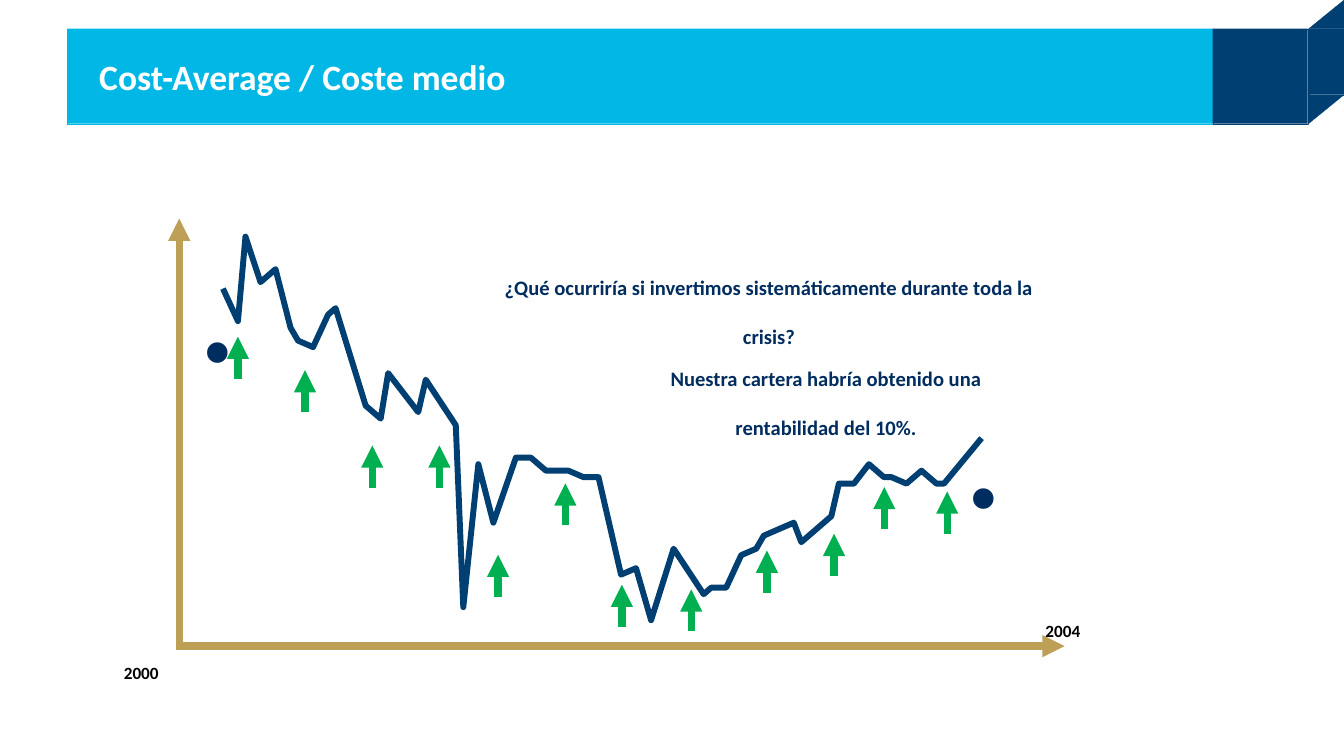
from lxml import etree
from pptx import Presentation
from pptx.dml.color import RGBColor
from pptx.enum.shapes import MSO_CONNECTOR, MSO_SHAPE
from pptx.enum.text import MSO_ANCHOR, MSO_AUTO_SIZE, PP_ALIGN
from pptx.oxml.ns import qn
from pptx.util import Pt

STRAIGHT = MSO_CONNECTOR.STRAIGHT
RECTANGLE, TRIANGLE = MSO_SHAPE.RECTANGLE, MSO_SHAPE.RIGHT_TRIANGLE
LEFT, CENTER = PP_ALIGN.LEFT, PP_ALIGN.CENTER
TOP, MIDDLE = MSO_ANCHOR.TOP, MSO_ANCHOR.MIDDLE
GROW, FIXED = MSO_AUTO_SIZE.SHAPE_TO_FIT_TEXT, MSO_AUTO_SIZE.NONE

WHITE = RGBColor(0xFF, 0xFF, 0xFF)
BLACK = RGBColor(0x00, 0x00, 0x00)
CYAN = RGBColor(0x00, 0xB7, 0xE5)
BLUE = RGBColor(0x00, 0x3F, 0x72)
NAVY = RGBColor(0x00, 0x2D, 0x5F)
GOLD = RGBColor(0xBE, 0x9F, 0x56)
GREEN = RGBColor(0x00, 0xB0, 0x50)

TITLE = "Cost-Average / Coste medio"
TITLE_BOX = (45.4, 19.4, 773.3, 64.1)
HEADER_PARTS = [
    (RECTANGLE, TITLE_BOX, 0, CYAN),
    (RECTANGLE, (818.6, 19.4, 64.1, 64.1), 0, BLUE),
    (TRIANGLE, (885.6, -2.2, 19.4, 23.8), 270, BLUE),
    (TRIANGLE, (885.6, 61.9, 19.4, 23.8), 90, BLUE),
    (RECTANGLE, (883.4, 19.4, 23.8, 44.6), 0, BLUE),
]
AXES = [((118.8, 436.3), (718.6, 436.3)), ((121, 436.3), (121, 147.6))]
YEARS = [("2000", (30.2, 430.6, 130.3, 23.8)), ("2004", (652.3, 401.8, 130.3, 23.8))]
MESSAGES = [
    ("¿Qué ocurriría si invertimos sistemáticamente durante toda la crisis?",
     (317.5, 166.3, 403.2, 46.1)),
    ("Nuestra cartera habría obtenido una rentabilidad del 10%.",
     (419, 227.5, 277.2, 46.1)),
]
END_DOTS = [(129.6, 128.9, 71.3, 118.8), (646.6, 227.5, 71.3, 118.8)]

PRICE_ORIGIN = (150.5, 159.8)
PRICE_STEP = (5.07, 4.39)
PRICES = [
    (0, 8), (2, 13), (3, 0), (5, 7), (7, 5), (9, 14), (10, 16), (12, 17),
    (14, 12), (15, 11), (19, 26), (21, 28), (22, 21), (26, 27), (27, 22),
    (31, 29), (32, 57), (34, 35), (36, 44), (39, 34), (41, 34), (43, 36),
    (46, 36), (48, 37), (50, 37), (53, 52), (55, 51), (57, 59), (60, 48),
    (64, 55), (65, 54), (67, 54), (69, 49), (71, 48), (72, 46), (74, 45),
    (76, 44), (77, 47), (80, 44), (81, 43), (82, 38), (84, 38), (86, 35),
    (88, 37), (89, 37), (91, 38), (93, 36), (95, 38), (96, 38), (101, 31),
]
PURCHASE_LENGTH = 28.4
PURCHASE_TIPS = [
    (160.6, 227.3), (205.9, 250), (251.3, 300.8), (296.6, 300.8),
    (336.2, 374.6), (381.6, 326.4), (419.8, 394.8), (466.6, 398),
    (517.7, 371.8), (563, 360.5), (596.9, 328.9), (639.4, 331.9),
]

presentation = Presentation()
presentation.slide_width, presentation.slide_height = Pt(907.2), Pt(510.5)
slide = presentation.slides.add_slide(presentation.slide_layouts[6])


def add_text(text, box, size, color, font="Calibri", bold=True, align=CENTER,
             anchor=TOP, inset=7.2, subscript=True, fit=GROW):
    shape = slide.shapes.add_textbox(*map(Pt, box))
    frame = shape.text_frame
    frame.word_wrap = True
    frame.auto_size = fit
    frame.vertical_anchor = anchor
    frame.margin_left = Pt(inset)
    paragraph = frame.paragraphs[0]
    paragraph.alignment = align
    run = paragraph.add_run()
    run.text = text
    run.font.name, run.font.size, run.font.bold = font, Pt(size), bold
    run.font.color.rgb = color
    if subscript:
        run.font._element.set("baseline", "-25000")


def add_header_part(kind, box, rotation, color):
    shape = slide.shapes.add_shape(kind, *map(Pt, box))
    shape.rotation = rotation
    shape.shadow.inherit = False
    shape.fill.solid()
    shape.fill.fore_color.rgb = color
    shape.line.color.rgb = color
    shape.line.width = Pt(0.1)


def add_arrow(start, end, color):
    arrow = slide.shapes.add_connector(STRAIGHT, *map(Pt, start + end))
    arrow.line.color.rgb = color
    arrow.line.width = Pt(5)
    etree.SubElement(arrow.line._get_or_add_ln(), qn("a:tailEnd"), type="triangle")
    etree.SubElement(arrow._element.spPr, qn("a:effectLst"))


def add_price_line():
    builder = slide.shapes.build_freeform(*PRICES[0], scale=tuple(map(Pt, PRICE_STEP)))
    builder.add_line_segments(PRICES[1:], close=False)
    shape = builder.convert_to_shape(*map(Pt, PRICE_ORIGIN))
    shape.shadow.inherit = False
    shape.fill.background()
    shape.line.color.rgb = BLUE
    shape.line.width = Pt(4)


for part in HEADER_PARTS:
    add_header_part(*part)
add_text(TITLE, TITLE_BOX, 24, WHITE, align=LEFT, anchor=MIDDLE, inset=21.6,
         subscript=False, fit=FIXED)
for start, end in AXES:
    add_arrow(start, end, GOLD)
for year, box in YEARS:
    add_text(year, box, 20, BLACK)
add_price_line()
for box in END_DOTS:
    add_text("•", box, 100, NAVY, font="Times New Roman", bold=False, align=LEFT)
for x, y in PURCHASE_TIPS:
    add_arrow((x, y + PURCHASE_LENGTH), (x, y), GREEN)
for message, box in MESSAGES:
    add_text(message, box, 24, NAVY)

presentation.save("out.pptx")
